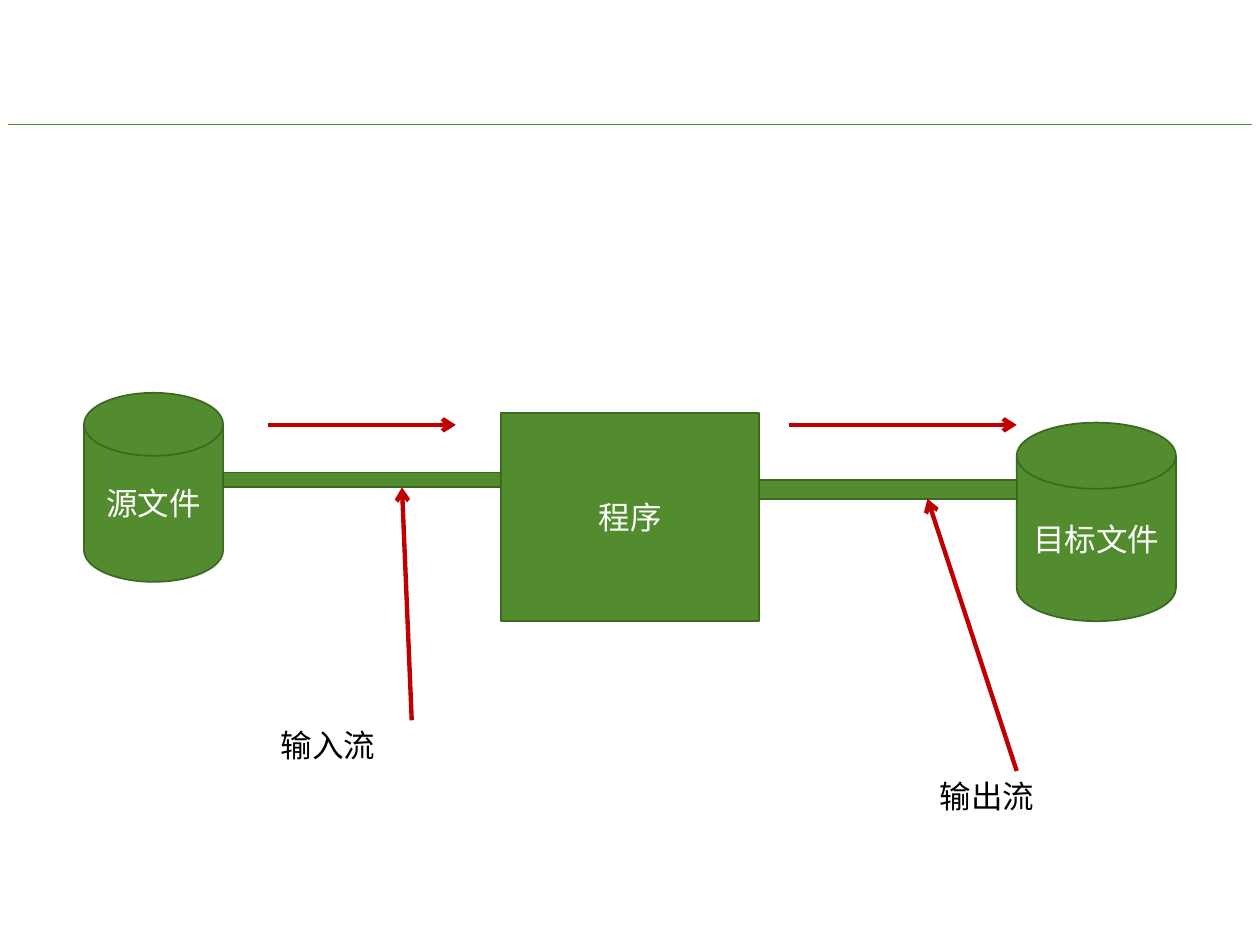
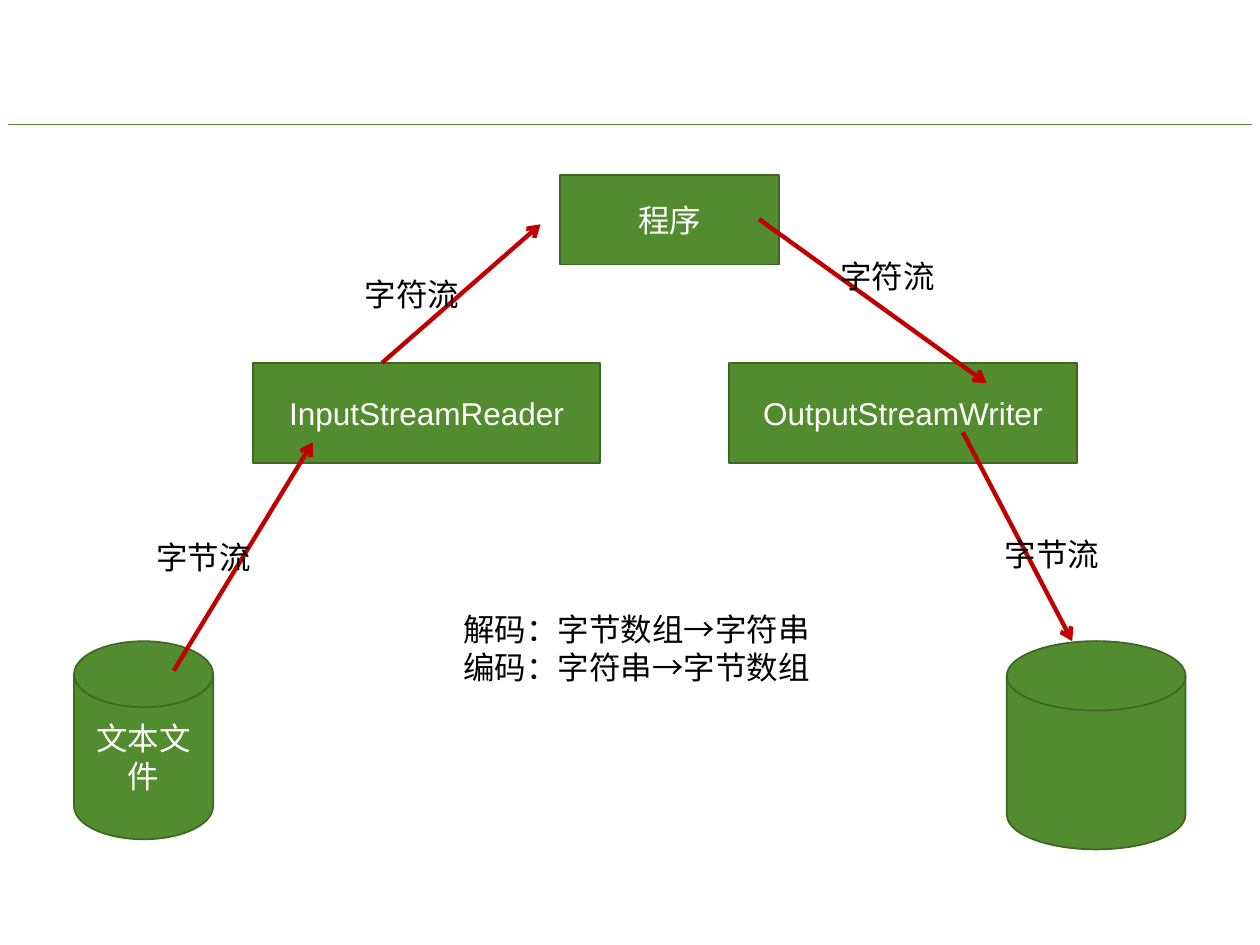
from pptx import Presentation
from pptx.dml.color import RGBColor
from pptx.enum.shapes import MSO_CONNECTOR, MSO_SHAPE
from pptx.enum.text import MSO_ANCHOR, PP_ALIGN
from pptx.oxml.ns import qn
from pptx.util import Pt
from lxml import etree

RECTANGLE = MSO_SHAPE.RECTANGLE
DISK = MSO_SHAPE.FLOWCHART_MAGNETIC_DISK
STRAIGHT = MSO_CONNECTOR.STRAIGHT
MIDDLE = MSO_ANCHOR.MIDDLE
LEFT, CENTER = PP_ALIGN.LEFT, PP_ALIGN.CENTER

GREEN, DARK_GREEN, RED = "538C2E", "3D6822", "C00000"
WHITE, BLACK = "FFFFFF", "000000"
FONT, FONT_SIZE = "Arial", 18
SLIDE_WIDTH, SLIDE_HEIGHT = 720, 540
RULE_MARGIN, RULE_TOP = 4.5, 71.3
LABEL_HEIGHT = 28.8


def color(hex_string):
    return RGBColor.from_string(hex_string)


def moved(origin, values):
    """Shift a point or box by the origin of its region."""
    return (origin[0] + values[0], origin[1] + values[1], *values[2:])


def write(shape, lines, text_color, alignment):
    frame = shape.text_frame
    frame.word_wrap = True
    for index, line in enumerate(lines):
        paragraph = frame.add_paragraph() if index else frame.paragraphs[0]
        paragraph.alignment = alignment
        run = paragraph.add_run()
        run.text = line
        run.font.name = FONT
        run.font.size = Pt(FONT_SIZE)
        run.font.color.rgb = color(text_color)


def add_node(slide, kind, box, text=None):
    shape = slide.shapes.add_shape(kind, *map(Pt, box))
    shape.shadow.inherit = False
    shape.fill.solid()
    shape.fill.fore_color.rgb = color(GREEN)
    shape.line.color.rgb = color(DARK_GREEN)
    shape.line.width = Pt(1)
    if text:
        shape.text_frame.vertical_anchor = MIDDLE
        write(shape, [text], WHITE, CENTER)


def add_label(slide, box, *lines):
    write(slide.shapes.add_textbox(*map(Pt, box)), lines, BLACK, LEFT)


def add_line(slide, start, end, line_color, width):
    connector = slide.shapes.add_connector(STRAIGHT, *map(Pt, (*start, *end)))
    connector.line.color.rgb = color(line_color)
    connector.line.width = Pt(width)
    etree.SubElement(connector._element.spPr, qn("a:effectLst"))
    return connector


def add_arrow(slide, start, end):
    connector = add_line(slide, start, end, RED, 2.5)
    head = etree.SubElement(connector.line._get_or_add_ln(), qn("a:tailEnd"))
    head.set("type", "arrow")


def add_ruled_slide(presentation):
    slide = presentation.slides.add_slide(presentation.slide_layouts[6])
    add_line(slide, (RULE_MARGIN, RULE_TOP),
             (SLIDE_WIDTH - RULE_MARGIN, RULE_TOP), GREEN, 0.5)
    return slide


def add_stream(slide, pipe, flow, tip, label_box, label_anchor, text):
    """Draw a pipe, its flow arrow and a callout, all relative to the pipe."""
    add_node(slide, RECTANGLE, pipe)
    flow_start, flow_end, flow_top = flow
    add_arrow(slide, moved(pipe, (flow_start, flow_top)),
              moved(pipe, (flow_end, flow_top)))
    add_arrow(slide, moved(pipe, label_anchor), moved(pipe, (tip, pipe[3])))
    add_label(slide, moved(pipe, label_box), text)


def add_branch(slide, origin, disk, converter, arrows, labels):
    """Draw a file, its converter and their streams relative to the origin."""
    for kind, (box, text) in ((DISK, disk), (RECTANGLE, converter)):
        add_node(slide, kind, moved(origin, box), text)
    for start, end in arrows:
        add_arrow(slide, moved(origin, start), moved(origin, end))
    for (left, top, width), text in labels:
        add_label(slide, moved(origin, (left, top, width, LABEL_HEIGHT)), text)


def build_stream_slide(presentation):
    slide = add_ruled_slide(presentation)
    add_node(slide, DISK, (48, 224.5, 79.5, 108), "源文件")
    add_node(slide, RECTANGLE, (286.2, 236, 147.6, 119), "程序")
    add_node(slide, DISK, (581, 241.5, 91, 113.5), "目标文件")
    add_stream(slide, (127.5, 270, 158.7, 8.5), (25.7, 133, -27.2), 102.2,
               (25.7, 141.6, 167, LABEL_HEIGHT), (107.8, 141.6), "输入流")
    add_stream(slide, (433.8, 274.2, 147.2, 10.8), (17, 147.2, -31.4), 96.2,
               (96.2, 166.4, 153.4, LABEL_HEIGHT), (147.2, 166.4), "输出流")


def build_conversion_slide(presentation):
    slide = add_ruled_slide(presentation)
    add_branch(
        slide, (42.3, 100),
        ((0, 266.4, 79.5, 113.2), "文本文件"),
        ((102.2, 107.4, 198.6, 57), "InputStreamReader"),
        [((57, 283.2), (136.4, 152.8)), ((176, 107.4), (266.6, 28.2))],
        [((39.8, 203.8, 96.5), "字节流"), ((159, 53.4, 108), "字符流")])
    add_node(slide, RECTANGLE, (320.2, 100, 125, 51.2), "程序")
    add_branch(
        slide, (416.7, 100),
        ((158.6, 266.4, 102.2, 119), None),
        ((0, 107.4, 198.6, 57), "OutputStreamWriter"),
        [((17, 25.2), (147.1, 119)), ((133.5, 147), (196, 266.4))],
        [((56.3, 43.3, 118.8), "字符流"), ((150.5, 202.4, 90.7), "字节流")])
    add_label(slide, (257.5, 345, 260.6, 51),
              "解码：字节数组→字符串", "编码：字符串→字节数组")


def main():
    presentation = Presentation()
    presentation.slide_width = Pt(SLIDE_WIDTH)
    presentation.slide_height = Pt(SLIDE_HEIGHT)
    build_stream_slide(presentation)
    build_conversion_slide(presentation)
    presentation.save("out.pptx")


if __name__ == "__main__":
    main()
